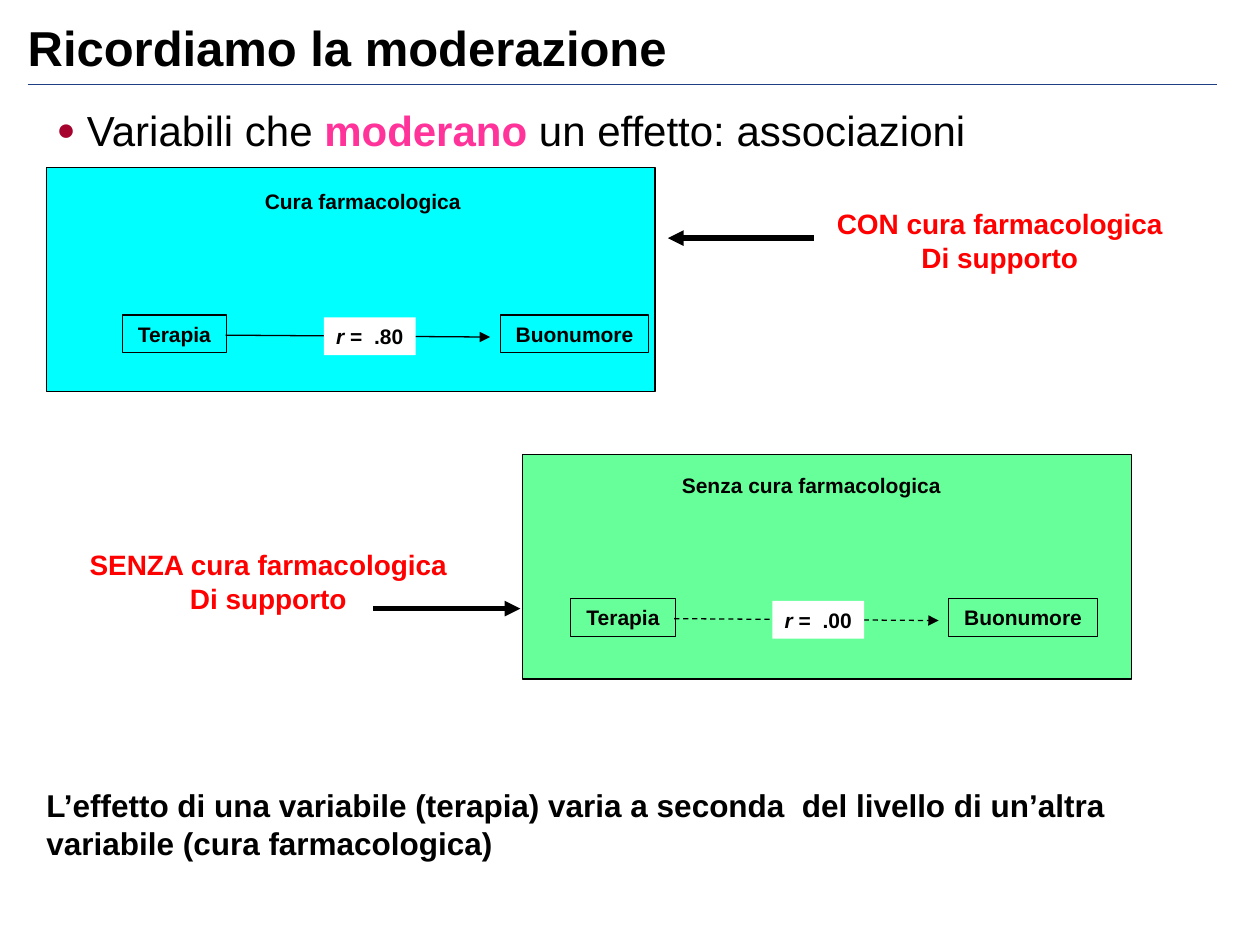
import dataclasses
import lxml.etree
import pptx
import pptx.dml.color
import pptx.enum.dml
import pptx.enum.shapes
import pptx.enum.text
import pptx.oxml.ns
import pptx.util


@dataclasses.dataclass(frozen=True)
class Theme:
    font: str = "Arial"
    black: str = "000000"
    white: str = "FFFFFF"
    rule: str = "1E3F82"
    bullet: str = "A5032D"
    accent: str = "FF3399"
    note: str = "FF0000"
    with_cure: str = "00FFFF"
    without_cure: str = "66FF99"
    title_size: int = 28
    body_size: int = 24
    conclusion_size: int = 18
    note_size: int = 16
    label_size: int = 12
    thin: float = 0.75
    rule_width: float = 1
    thick: float = 3


@dataclasses.dataclass(frozen=True)
class Box:
    column: float
    row: float
    columns: float
    rows: float

    def inner(self, column, row, columns, rows):
        return Box(self.column + column, self.row + row, columns, rows)

    def lengths(self):
        return [cells(value) for value in (self.column, self.row, self.columns, self.rows)]


THEME = Theme()
SLIDE = Box(0, 0, 100, 75)
CELL = 0.1
LEFT = pptx.enum.text.PP_ALIGN.LEFT
CENTER = pptx.enum.text.PP_ALIGN.CENTER
TOP = pptx.enum.text.MSO_ANCHOR.TOP
BOTTOM = pptx.enum.text.MSO_ANCHOR.BOTTOM


def cells(count):
    return pptx.util.Inches(count * CELL)


def rgb(color):
    return pptx.dml.color.RGBColor.from_string(color)


def add_xml(parent, tag, **attributes):
    return lxml.etree.SubElement(parent, pptx.oxml.ns.qn(tag), attributes)


def write(shape, paragraphs, size, color=THEME.black, bold=True, align=CENTER,
          anchor=TOP, wrap=False, margins=(1, 0.5)):
    frame = shape.text_frame
    frame.auto_size = pptx.enum.text.MSO_AUTO_SIZE.NONE
    frame.word_wrap = wrap
    frame.vertical_anchor = anchor
    frame.margin_left = frame.margin_right = cells(margins[0])
    frame.margin_top = frame.margin_bottom = cells(margins[1])
    for index, spans in enumerate(paragraphs):
        para = frame.add_paragraph() if index else frame.paragraphs[0]
        para.alignment = align
        for text, changes in spans:
            span = para.add_run()
            span.text = text
            span.font.name = THEME.font
            span.font.size = pptx.util.Pt(size)
            span.font.bold = changes.get("bold", bold)
            span.font.italic = changes.get("italic", False)
            span.font.color.rgb = rgb(changes.get("color", color))
    return frame


def add_text(page, box, paragraphs, **style):
    return write(page.shapes.add_textbox(*box.lengths()), paragraphs, **style)


def add_rectangle(page, box, fill=None, line=None):
    shape = page.shapes.add_shape(pptx.enum.shapes.MSO_SHAPE.RECTANGLE, *box.lengths())
    shape.shadow.inherit = False
    if fill:
        shape.fill.solid()
        shape.fill.fore_color.rgb = rgb(fill)
    else:
        shape.fill.background()
    if line:
        shape.line.color.rgb = rgb(line)
        shape.line.width = pptx.util.Pt(THEME.thin)
    else:
        shape.line.fill.background()
    return shape


def add_line(page, box, color=THEME.black, width=THEME.thin, dashed=False, arrow=True):
    left, top, across, down = box.lengths()
    line = page.shapes.add_connector(
        pptx.enum.shapes.MSO_CONNECTOR.STRAIGHT, left, top, left + across, top + down)
    line.line.color.rgb = rgb(color)
    line.line.width = pptx.util.Pt(width)
    if dashed:
        line.line.dash_style = pptx.enum.dml.MSO_LINE.DASH
    properties = line._element.spPr
    if arrow:
        add_xml(properties.find(pptx.oxml.ns.qn("a:ln")), "a:tailEnd", type="triangle")
    add_xml(properties, "a:effectLst")


def add_heading(page, box):
    title = page.shapes.title
    title.left, title.top, title.width, title.height = box.inner(0, 0, 89.6, 6).lengths()
    write(title, [[("Ricordiamo la moderazione", {})]], size=THEME.title_size,
          align=LEFT, anchor=BOTTOM, wrap=True, margins=(0, 0))
    add_line(page, box.inner(0, box.rows, box.columns, 0), color=THEME.rule,
             width=THEME.rule_width, arrow=False)


def add_bullet(page, box):
    spans = [("Variabili che ", {}),
             ("moderano", {"color": THEME.accent, "bold": True}),
             (" un effetto: associazioni", {})]
    frame = add_text(page, box, [spans], size=THEME.body_size, bold=False,
                     align=LEFT, wrap=True, margins=(0, 0))
    properties = frame.paragraphs[0]._p.get_or_add_pPr()
    indent = cells(2.4)
    properties.set("marL", str(indent))
    properties.set("indent", str(-indent))
    add_xml(add_xml(properties, "a:buClr"), "a:srgbClr", val=THEME.bullet)
    add_xml(properties, "a:buSzPct", val="75000")
    add_xml(properties, "a:buFont", typeface=THEME.font)
    add_xml(properties, "a:buChar", char="●")


def add_diagram(page, box, heading, correlation, dashed):
    add_line(page, box.inner(8.2, 12.1, 21, 0.15), dashed=dashed)
    add_text(page, box.inner(5.8, 0, 26.6, 3), [[(heading, {})]],
             size=THEME.label_size, wrap=True)
    for name, column, columns in (("Terapia", 0, 8.3), ("Buonumore", 30, 11.8)):
        variable = add_rectangle(page, box.inner(column, 10.5, columns, 3), line=THEME.black)
        write(variable, [[(name, {})]], size=THEME.label_size)
    label = add_rectangle(page, box.inner(16, 10.7, 7.3, 3), fill=THEME.white)
    write(label, [[("r", {"italic": True}), (f" =  {correlation}", {})]],
          size=THEME.label_size)


def add_condition(page, box, fill, diagram_at, heading, correlation, dashed=False):
    add_rectangle(page, box, fill=fill, line=THEME.black)
    add_diagram(page, box.inner(*diagram_at, 41.8, 13.7), heading, correlation, dashed)


def add_note(page, box, condition, arrow):
    add_text(page, box, [[(f"{condition} cura farmacologica", {})], [("Di supporto", {})]],
             size=THEME.note_size, color=THEME.note)
    add_line(page, box.inner(*arrow, 0), width=THEME.thick)


def add_conclusion(page, box):
    text = ("L’effetto di una variabile (terapia) varia a seconda  del livello "
            "di un’altra variabile (cura farmacologica)")
    add_text(page, box, [[(text, {})]], size=THEME.conclusion_size, align=LEFT, wrap=True)


def main():
    deck = pptx.Presentation()
    deck.slide_width, deck.slide_height = SLIDE.lengths()[2:]
    page = deck.slides.add_slide(deck.slide_layouts.get_by_name("Title Only"))
    add_heading(page, SLIDE.inner(2.2, 0.1, 94.4, 6.6))
    add_bullet(page, SLIDE.inner(4.5, 8.3, 93.9, 4))
    add_condition(page, SLIDE.inner(3.7, 13.3, 48.3, 17.8), THEME.with_cure,
                  (6, 1.2), "Cura farmacologica", ".80")
    add_condition(page, SLIDE.inner(41.5, 36.1, 48.3, 17.8), THEME.without_cure,
                  (3.8, 0.9), "Senza cura farmacologica", ".00", dashed=True)
    add_note(page, SLIDE.inner(64.9, 15.9, 28.9, 6.4), "CON", (-0.3, 3, -11.6))
    add_note(page, SLIDE.inner(5.8, 43, 31, 6.4), "SENZA", (23.8, 5.3, 11.7))
    add_conclusion(page, SLIDE.inner(2.7, 61.9, 89.3, 7))
    deck.save("out.pptx")


if __name__ == "__main__":
    main()
